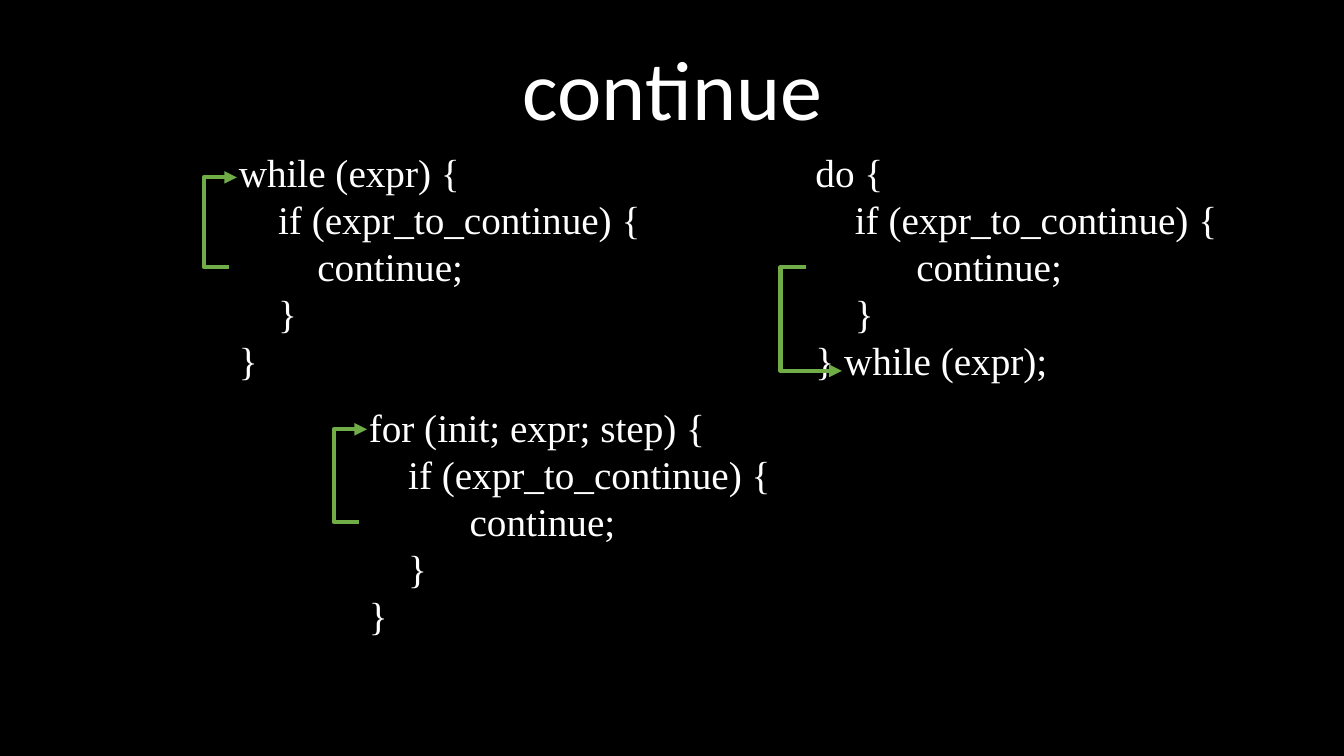
import dataclasses

import lxml.etree
import pptx
import pptx.dml.color
import pptx.enum.shapes
import pptx.enum.text
import pptx.oxml.ns
import pptx.util

Inches = pptx.util.Inches
Align = pptx.enum.text.PP_ALIGN
Anchor = pptx.enum.text.MSO_ANCHOR
qn = pptx.oxml.ns.qn


@dataclasses.dataclass(frozen=True)
class Theme:
    background: str = "000000"
    text: str = "FFFFFF"
    jump: str = "70AD47"
    title_font: str = "Calibri"
    code_font: str = "Times New Roman"
    title_size: int = 60
    code_size: int = 28
    jump_width: int = 3


def rgb(value):
    return pptx.dml.color.RGBColor.from_string(value)


def write(paragraph, text, *, font, size, color, align=Align.LEFT, indent=0, spacing=None):
    """Fill one paragraph with formatted text; indent is in inches."""
    paragraph.alignment = align
    paragraph.line_spacing = spacing
    if indent:
        properties = paragraph._p.get_or_add_pPr()
        properties.set("marL", str(Inches(indent)))
        properties.set("indent", "0")
    run = paragraph.add_run()
    run.text = text
    run.font.name = font
    run.font.size = pptx.util.Pt(size)
    run.font.color.rgb = rgb(color)


class SlideBuilder:
    def __init__(self, slide, theme):
        self.slide = slide
        self.theme = theme
        slide.background.fill.solid()
        slide.background.fill.fore_color.rgb = rgb(theme.background)

    def text_frame(self, left, top, width, height, anchor=Anchor.TOP):
        box = self.slide.shapes.add_textbox(*map(Inches, (left, top, width, height)))
        frame = box.text_frame
        frame.word_wrap = True
        frame.vertical_anchor = anchor
        return frame

    def title(self, text):
        frame = self.text_frame(1.74, 0.15, 9.86, 1.27, Anchor.BOTTOM)
        write(frame.paragraphs[0], text, font=self.theme.title_font,
              size=self.theme.title_size, color=self.theme.text,
              align=Align.CENTER, spacing=0.9)

    def code(self, left, top, lines):
        """Write (indent, text) pairs as one listing."""
        frame = self.text_frame(left, top, 4.33, 2.46)
        for number, (indent, text) in enumerate(lines):
            paragraph = frame.add_paragraph() if number else frame.paragraphs[0]
            write(paragraph, text, font=self.theme.code_font,
                  size=self.theme.code_size, color=self.theme.text, indent=indent)

    def jump(self, left, start, end, reach):
        """Arrow that leaves to the left, runs vertically and returns to the right."""
        bulge = 0.25
        arrow = self.slide.shapes.add_connector(
            pptx.enum.shapes.MSO_CONNECTOR.ELBOW,
            Inches(left), Inches(start), Inches(left + reach), Inches(end))
        arrow.line.color.rgb = rgb(self.theme.jump)
        arrow.line.width = pptx.util.Pt(self.theme.jump_width)

        # Bend position, arrowhead and no shadow
        properties = arrow._element.spPr
        bends = properties.find(qn("a:prstGeom")).get_or_add_avLst()
        lxml.etree.SubElement(bends, qn("a:gd"), name="adj1",
                              fmla=f"val {round(-bulge / reach * 100000)}")
        lxml.etree.SubElement(properties.find(qn("a:ln")), qn("a:tailEnd"), type="triangle")
        lxml.etree.SubElement(properties, qn("a:effectLst"))


def loop_lines(opening, closing, continue_indent):
    step = 0.39
    return [(0, opening), (step, "if (expr_to_continue) {"),
            (continue_indent, "continue;"), (step, "}"), (0, closing)]


def main():
    deck = pptx.Presentation()
    deck.slide_width, deck.slide_height = Inches(13.33), Inches(7.5)
    page = SlideBuilder(deck.slides.add_slide(deck.slide_layouts[6]), Theme())

    page.title("continue")

    # Each loop: left, top, opening, closing, continue indent, jump target, jump reach
    loops = [
        (2.27, 1.42, "while (expr) {", "}", 0.78, 1.76, 0.08),
        (7.99, 1.42, "do {", "} while (expr);", 1, 3.68, 0.36),
        (3.56, 3.95, "for (init; expr; step) {", "}", 1, 4.26, 0.08),
    ]
    for left, top, opening, closing, continue_indent, target, reach in loops:
        page.code(left, top, loop_lines(opening, closing, continue_indent))
        page.jump(left, top + 1.23, target, reach)

    deck.save("out.pptx")


if __name__ == "__main__":
    main()
